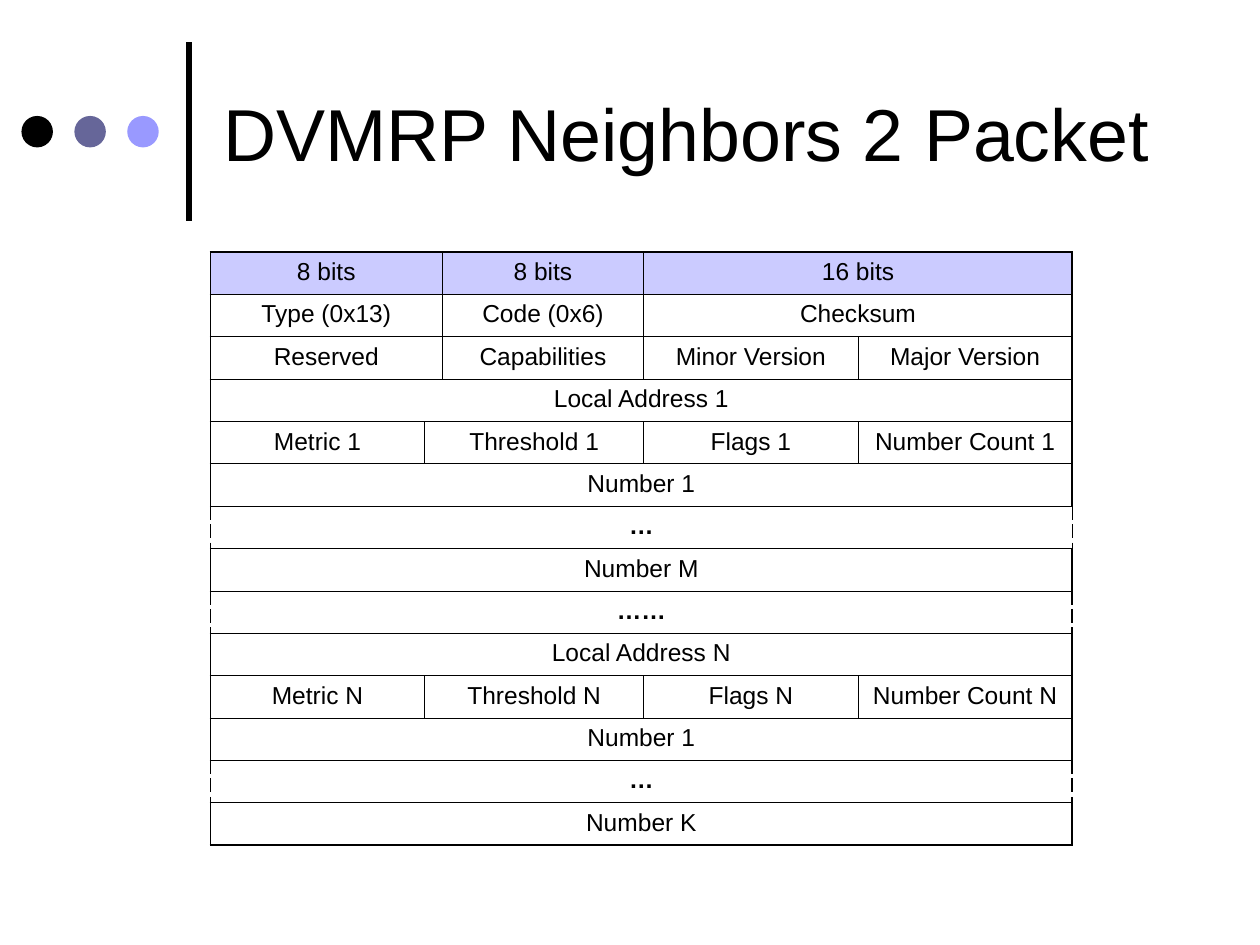
from lxml.etree import SubElement
from pptx import Presentation
from pptx.dml.color import RGBColor
from pptx.enum.shapes import MSO_CONNECTOR, MSO_SHAPE
from pptx.enum.text import MSO_ANCHOR, PP_ALIGN
from pptx.oxml.ns import qn
from pptx.util import Inches, Pt

BLACK = RGBColor(0x00, 0x00, 0x00)
SLATE = RGBColor(0x66, 0x66, 0x99)
LAVENDER = RGBColor(0x99, 0x99, 0xFF)
FONT = "Arial"
THIN, MEDIUM, THICK = 0.45, 0.75, 1.08

TITLE = "DVMRP Neighbors 2 Packet"
COLUMN_WIDTHS = [1.7, 0.14, 1.6, 1.7, 1.7]
TABLE_HEIGHT = 4.71

HALVES = [2, 1, 2]
VERSIONS = [2, 1, 1, 1]
QUARTERS = [1, 2, 1, 1]
FULL = [5]
PACKET_ROWS = [
    (HALVES, ["8 bits", "8 bits", "16 bits"]),
    (HALVES, ["Type (0x13)", "Code (0x6)", "Checksum"]),
    (VERSIONS, ["Reserved", "Capabilities", "Minor Version", "Major Version"]),
    (FULL, ["Local Address 1"]),
    (QUARTERS, ["Metric 1", "Threshold 1", "Flags 1", "Number Count 1"]),
    (FULL, ["Number 1"]),
    (FULL, ["…"]),
    (FULL, ["Number M"]),
    (FULL, ["……"]),
    (FULL, ["Local Address N"]),
    (QUARTERS, ["Metric N", "Threshold N", "Flags N", "Number Count N"]),
    (FULL, ["Number 1"]),
    (FULL, ["…"]),
    (FULL, ["Number K"]),
]
FIRST_GAP_ROW = 6


def add_decoration(slide):
    bar = slide.shapes.add_connector(
        MSO_CONNECTOR.STRAIGHT, Inches(1.5), Inches(1.75), Inches(1.5), Inches(0.33))
    bar.line.color.rgb = BLACK
    bar.line.width = Pt(3)
    SubElement(bar._element.spPr, qn("a:effectLst"))
    for index, color in enumerate([BLACK, SLATE, LAVENDER]):
        dot = slide.shapes.add_shape(
            MSO_SHAPE.OVAL, Inches(0.17 + 0.42 * index), Inches(0.92),
            Inches(0.25), Inches(0.25))
        dot.shadow.inherit = False
        dot.fill.solid()
        dot.fill.fore_color.rgb = color
        dot.line.fill.background()


def add_title(slide):
    title = slide.shapes.title
    title.left, title.top = Inches(1.67), Inches(0.21)
    title.width, title.height = Inches(7.67), Inches(1.67)
    frame = title.text_frame
    frame.text = TITLE
    frame.vertical_anchor = MSO_ANCHOR.MIDDLE
    paragraph = frame.paragraphs[0]
    paragraph.alignment = PP_ALIGN.LEFT
    set_font(paragraph, 42)


def set_font(paragraph, size, bold=False):
    font = paragraph.font
    font.name, font.size, font.bold = FONT, Pt(size), bold
    font.color.rgb = BLACK


def set_borders(cell, widths, dashed):
    properties = cell._tc.get_or_add_tcPr()
    for side, width in zip("LRTB", widths):
        line = SubElement(properties, qn(f"a:ln{side}"), w=str(Pt(width)))
        fill = SubElement(line, qn("a:solidFill"))
        SubElement(fill, qn("a:srgbClr"), val=str(BLACK))
        dash = "dash" if dashed and side in "LR" else "solid"
        SubElement(line, qn("a:prstDash"), val=dash)


def fill_cell(cell, is_header):
    if is_header:
        cell.fill.solid()
        cell.fill.fore_color.rgb = LAVENDER
        color = cell._tc.tcPr.find(f"{qn('a:solidFill')}/{qn('a:srgbClr')}")
        SubElement(color, qn("a:alpha"), val="50000")
    else:
        cell.fill.background()


def write_cell(cell, text, bold):
    cell.margin_left = cell.margin_right = Inches(0.05)
    cell.margin_top = cell.margin_bottom = Inches(0.05)
    cell.text = text
    paragraph = cell.text_frame.paragraphs[0]
    paragraph.alignment = PP_ALIGN.CENTER
    set_font(paragraph, 14, bold)


def add_packet_table(slide):
    row_count, column_count = len(PACKET_ROWS), len(COLUMN_WIDTHS)
    table = slide.shapes.add_table(
        row_count, column_count, Inches(1.67), Inches(2),
        Inches(sum(COLUMN_WIDTHS)), Inches(TABLE_HEIGHT)).table
    table.first_row = table.horz_banding = False
    for column, width in zip(table.columns, COLUMN_WIDTHS):
        column.width = Inches(width)

    for row, (spans, texts) in enumerate(PACKET_ROWS):
        start = 0
        for span, text in zip(spans, texts):
            end = start + span
            is_gap = text.startswith("…")
            outer = MEDIUM if row == FIRST_GAP_ROW else THICK
            widths = [
                outer if start == 0 else THIN,
                outer if end == column_count else THIN,
                THICK if row == 0 else THIN,
                THICK if row == row_count - 1 else THIN,
            ]
            for column in range(start, end):
                cell = table.cell(row, column)
                set_borders(cell, widths, is_gap)
                fill_cell(cell, row == 0)
            origin = table.cell(row, start)
            write_cell(origin, text, is_gap)
            if span > 1:
                origin.merge(table.cell(row, end - 1))
            start = end


def main():
    presentation = Presentation()
    presentation.slide_width, presentation.slide_height = Inches(10), Inches(7.5)
    slide = presentation.slides.add_slide(presentation.slide_layouts[5])
    add_decoration(slide)
    add_title(slide)
    add_packet_table(slide)
    presentation.save("out.pptx")


if __name__ == "__main__":
    main()
